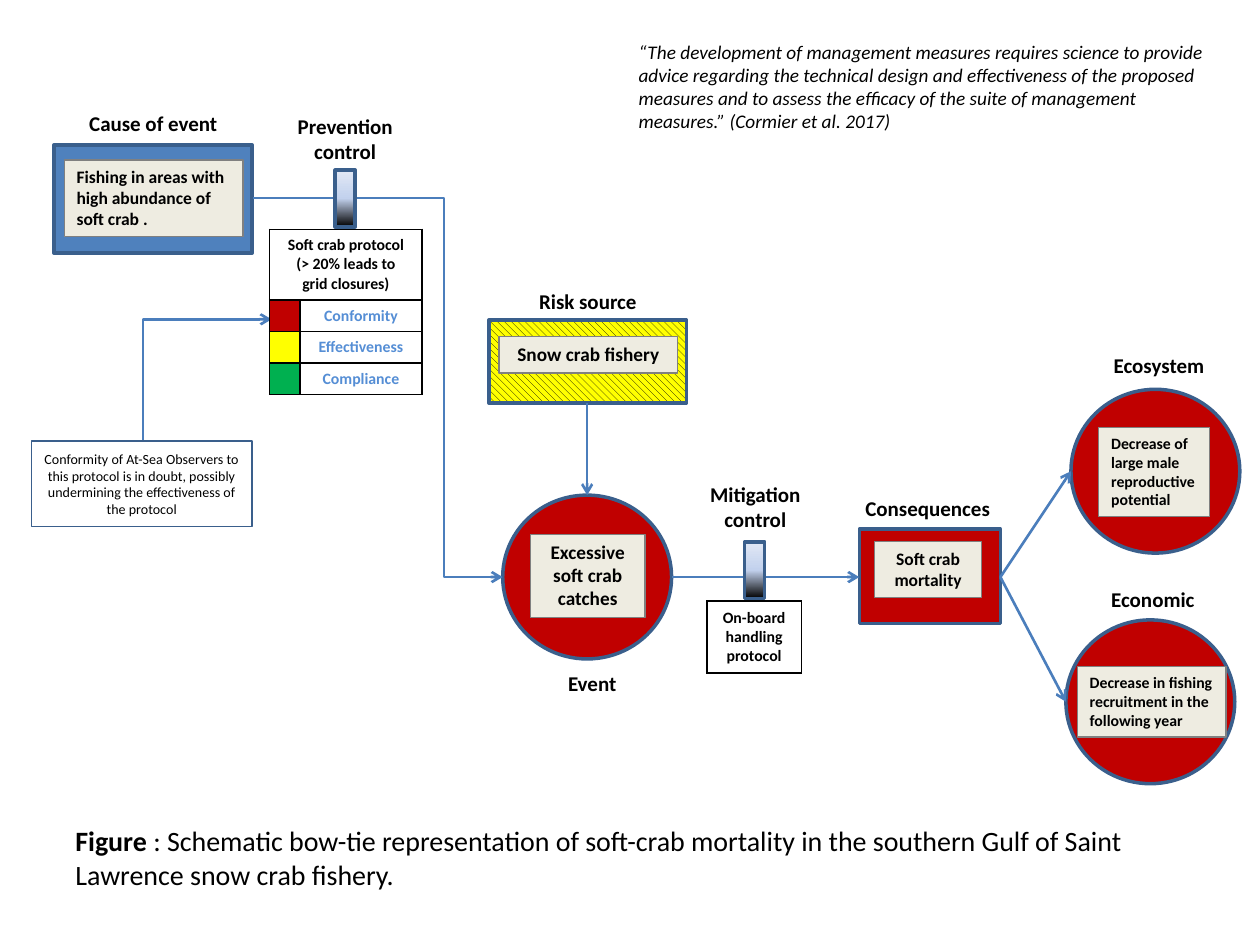
from dataclasses import dataclass
from copy import deepcopy
from typing import Optional

from lxml import etree
from pptx import Presentation
from pptx.dml.color import RGBColor
from pptx.enum import dml, shapes, text
from pptx.oxml import ns
from pptx.util import Inches, Pt

BLACK = RGBColor(0, 0, 0)
WHITE = RGBColor(255, 255, 255)
BLUE = RGBColor(0x4F, 0x81, 0xBD)
NAVY = RGBColor(0x3A, 0x5F, 0x8C)
ARROW = RGBColor(0x4B, 0x7E, 0xBC)
SKY = RGBColor(0x55, 0x8E, 0xD5)
CREAM = RGBColor(0xEE, 0xEC, 0xE1)
GREY = RGBColor(0x80, 0x80, 0x80)
RED = RGBColor(0xC0, 0, 0)
YELLOW = RGBColor(255, 255, 0)
GREEN = RGBColor(0, 0xB0, 0x50)
FADE = [(0, BLACK), (0.5, RGBColor(0xC2, 0xD1, 0xED)), (1, RGBColor(0xE1, 0xE8, 0xF5))]

RECT = shapes.MSO_SHAPE.RECTANGLE
OVAL = shapes.MSO_SHAPE.OVAL
LEFT, MID = text.PP_ALIGN.LEFT, text.PP_ALIGN.CENTER
BOLD = {"name": "Calibri", "size": Pt(12), "bold": True}
Box = tuple[float, float, float, float]


@dataclass
class Node:
    """Outer frame with a cream plate of text on it."""
    form: shapes.MSO_SHAPE
    frame: Box
    fill: Optional[RGBColor]
    plate: Box
    words: str
    size: int
    align: text.PP_ALIGN = LEFT


@dataclass
class Label:
    box: Box
    words: str
    align: text.PP_ALIGN = LEFT


@dataclass
class Link:
    start: tuple[float, float]
    end: tuple[float, float]
    preset: str = "line"
    bend: Optional[int] = None
    turn: int = 0


NODES = [
    Node(RECT, (0.43, 1.15, 1.57, 0.86), BLUE, (0.51, 1.27, 1.42, 0.61),
         "Fishing in areas with high abundance of soft crab .", 10),
    Node(OVAL, (3.99, 3.93, 1.34, 1.3), RED, (4.21, 4.24, 0.91, 0.66),
         "Excessive soft crab catches", 11, MID),
    Node(RECT, (3.88, 2.54, 1.57, 0.66), None, (3.96, 2.67, 1.42, 0.29),
         "Snow crab fishery", 11, MID),
    Node(RECT, (6.82, 4.2, 1.12, 0.75), RED, (6.94, 4.3, 0.85, 0.44),
         "Soft crab mortality", 10, MID),
    Node(OVAL, (8.5, 3.09, 1.34, 1.3), RED, (8.72, 3.39, 0.88, 0.71),
         "Decrease of large male reproductive potential", 9),
    Node(OVAL, (8.46, 4.92, 1.34, 1.3), RED, (8.55, 5.29, 1.18, 0.56),
         "Decrease in fishing recruitment in the following year", 9),
]
LABELS = [
    Label((4.18, 2.24, 0.98, 0.3), "Risk source"),
    Label((2.24, 0.85, 1, 0.5), "Prevention\ncontrol", MID),
    Label((0.61, 0.83, 1.23, 0.3), "Cause of event"),
    Label((4.41, 5.27, 0.59, 0.3), "Event"),
    Label((6.77, 3.88, 1.2, 0.3), "Consequences"),
    Label((8.74, 2.75, 0.93, 0.3), "Ecosystem"),
    Label((8.72, 4.61, 0.87, 0.3), "Economic"),
    Label((5.51, 3.77, 0.97, 0.5), "Mitigation\ncontrol", MID),
]
LINKS = [
    Link((4.66, 3.2), (4.66, 3.93)),
    Link((2.01, 1.57), (3.99, 4.58), "bentConnector3", 76500),
    Link((2.13, 3.53), (1.16, 2.51), "bentConnector2", turn=90),
    Link((5.33, 4.58), (6.82, 4.58)),
    Link((7.94, 4.58), (8.46, 5.57)),
    Link((7.94, 4.58), (8.5, 3.74)),
]
BARS = [(2.66, 1.35, 0.16, 0.45), (5.91, 4.3, 0.16, 0.45)]

deck = Presentation()
deck.slide_width, deck.slide_height = Inches(10), Inches(7.5)
slide = deck.slides.add_slide(deck.slide_layouts[6])


def place(box: Box) -> list:
    return [Inches(n) for n in box]


def style(item, form: dict, color: RGBColor = BLACK) -> None:
    for key, value in form.items():
        setattr(item.font, key, value)
    item.font.color.rgb = color


def write(frame, words: str, form: dict, align=LEFT, color=BLACK) -> None:
    for i, line in enumerate(words.split("\n")):
        para = frame.add_paragraph() if i else frame.paragraphs[0]
        para.alignment = align
        run = para.add_run()
        run.text = line
        style(run, form, color)


def shape(form, box: Box, fill: Optional[RGBColor], edge=NAVY, width=2.0):
    item = slide.shapes.add_shape(form, *place(box))
    item.shadow.inherit = False
    if fill is not None:
        item.fill.solid()
        item.fill.fore_color.rgb = fill
    item.line.color.rgb, item.line.width = edge, Pt(width)
    return item


def node(part: Node) -> None:
    outer = shape(part.form, part.frame, part.fill)
    if part.fill is None:
        outer.fill.patterned()
        outer.fill.pattern = dml.MSO_PATTERN.WIDE_DOWNWARD_DIAGONAL
        outer.fill.fore_color.rgb, outer.fill.back_color.rgb = BLACK, YELLOW
    frame = shape(RECT, part.plate, CREAM, GREY, 0.75).text_frame
    frame.word_wrap = True
    frame.vertical_anchor = text.MSO_ANCHOR.TOP
    frame.auto_size = text.MSO_AUTO_SIZE.SHAPE_TO_FIT_TEXT
    write(frame, part.words, BOLD | {"size": Pt(part.size)}, part.align)


def label(box: Box, wrap: bool):
    frame = slide.shapes.add_textbox(*place(box)).text_frame
    frame.word_wrap = wrap
    frame.auto_size = text.MSO_AUTO_SIZE.SHAPE_TO_FIT_TEXT
    return frame


def link(part: Link) -> None:
    line = slide.shapes.add_connector(
        shapes.MSO_CONNECTOR.STRAIGHT, *place(part.start + part.end))
    line.line.color.rgb, line.line.width = ARROW, Pt(1.5)
    props = line._element.spPr
    geom = props.find(ns.qn("a:prstGeom"))
    geom.set("prst", part.preset)
    if part.bend:
        guides = geom.get_or_add_avLst()
        etree.SubElement(guides, ns.qn("a:gd"), name="adj1", fmla=f"val {part.bend}")
    if part.turn:
        props.find(ns.qn("a:xfrm")).set("rot", str(part.turn * 60000))
    etree.SubElement(props.find(ns.qn("a:ln")), ns.qn("a:tailEnd"), type="arrow")
    etree.SubElement(props, ns.qn("a:effectLst"))


def bar(box: Box) -> None:
    fill = shape(RECT, box, None).fill
    fill.gradient()
    fill.gradient_angle = 90
    stops = fill._xPr.find(ns.qn("a:gradFill")).find(ns.qn("a:gsLst"))
    stops.append(deepcopy(stops[-1]))
    for stop, (spot, color) in zip(fill.gradient_stops, FADE):
        stop.position, stop.color.rgb = spot, color


def grid(box: Box, cols: list[float], rows: list[float]):
    table = slide.shapes.add_table(len(rows), len(cols), *place(box)).table
    for group, key, sizes in ((table.columns, "width", cols), (table.rows, "height", rows)):
        for item, size in zip(group, sizes):
            setattr(item, key, Inches(size))
    for cell in table.iter_cells():
        props = cell._tc.get_or_add_tcPr()
        for side in ("lnL", "lnR", "lnT", "lnB"):
            edge = etree.SubElement(props, ns.qn(f"a:{side}"), w=str(Pt(1)))
            solid = etree.SubElement(edge, ns.qn("a:solidFill"))
            etree.SubElement(solid, ns.qn("a:srgbClr"), val=str(BLACK))
        paint(cell, WHITE)
        cell.vertical_anchor = text.MSO_ANCHOR.MIDDLE
    return table


def paint(cell, color: RGBColor) -> None:
    cell.fill.solid()
    cell.fill.fore_color.rgb = color


# Frames, arrows and control bars
for part in NODES:
    node(part)
for part in LINKS:
    link(part)
for box in BARS:
    bar(box)

# Control tables
SMALL = BOLD | {"size": Pt(9)}
rules = grid((2.14, 1.82, 1.2, 1.31), [0.23, 0.97], [0.56] + [0.23] * 3)
rules.cell(0, 0).merge(rules.cell(0, 1))
write(rules.cell(0, 0).text_frame, "Soft crab protocol\n(> 20% leads to grid closures)", SMALL, MID)
checks = [("Conformity", RED), ("Effectiveness", YELLOW), ("Compliance", GREEN)]
for row, (name, color) in enumerate(checks, 1):
    mark = rules.cell(row, 0)
    paint(mark, color)
    etree.SubElement(mark.text_frame.paragraphs[0]._p, ns.qn("a:endParaRPr"), sz="900")
    write(rules.cell(row, 1).text_frame, name, SMALL, MID, SKY)
board = grid((5.61, 4.77, 0.75, 0.57), [0.75], [0.57])
write(board.cell(0, 0).text_frame, "On-board handling\nprotocol", SMALL, MID)

# Labels, remark, quote and caption
for part in LABELS:
    write(label(part.box, False), part.words, BOLD, part.align)
note = shape(RECT, (0.25, 3.5, 1.75, 0.68), WHITE, NAVY, 1).text_frame
note.word_wrap = True
write(note, "Conformity of At-Sea Observers to this protocol is in doubt, possibly "
      "undermining the effectiveness of the protocol", {"name": "Calibri", "size": Pt(8)}, MID)
write(label((4.97, 0.27, 4.73, 0.84), True),
      "“The development of management measures requires science to provide advice regarding "
      "the technical design and effectiveness of the proposed measures and to assess the "
      "efficacy of the suite of management measures.” (Cormier et al. 2017)",
      {"name": "Calibri", "size": Pt(11), "italic": True})
title = label((0.5, 6.49, 9.09, 0.64), True)
large = BOLD | {"size": Pt(16)}
write(title, "Figure", large)
write(title, " : Schematic bow-tie representation of soft-crab mortality in the southern "
      "Gulf of Saint Lawrence snow crab fishery.", large | {"bold": False})

deck.save("out.pptx")
